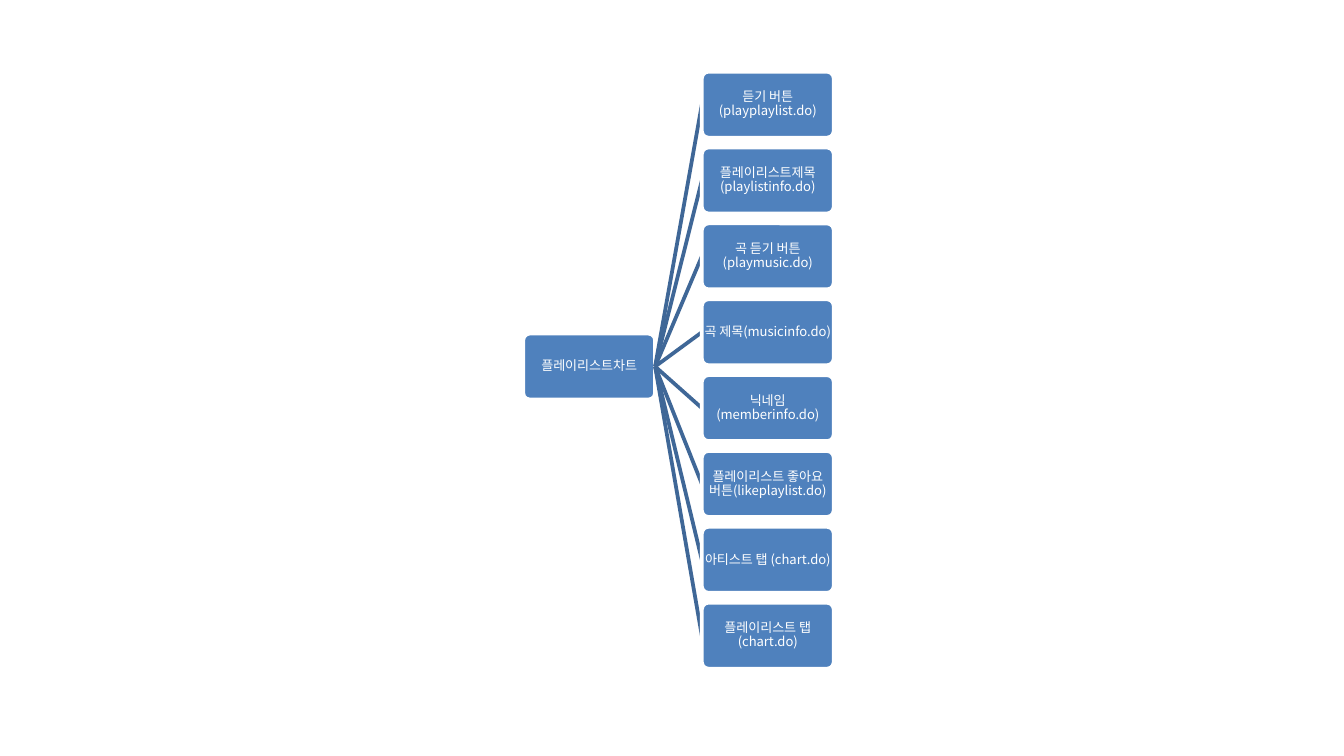
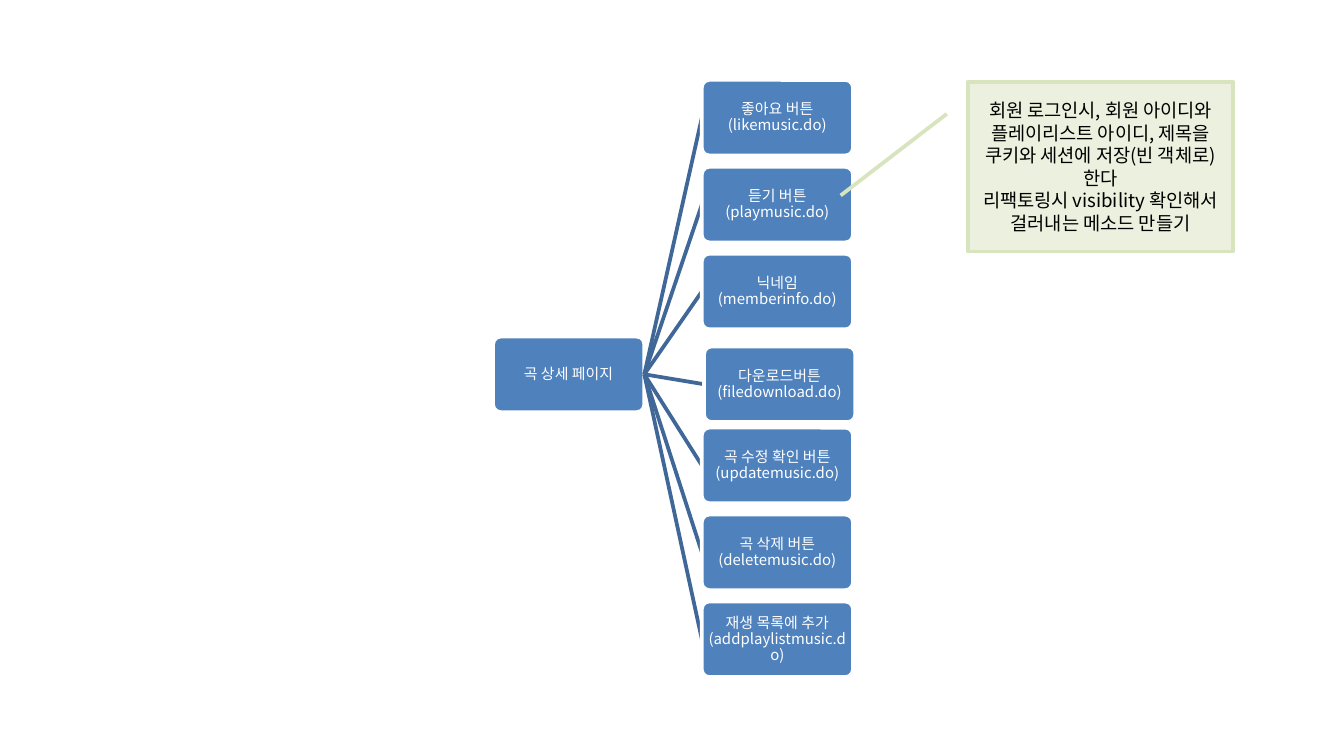
from dataclasses import dataclass

from lxml import etree
from pptx import Presentation
from pptx.dml.color import RGBColor
from pptx.enum.shapes import MSO_CONNECTOR, MSO_SHAPE
from pptx.enum.text import MSO_ANCHOR, PP_ALIGN
from pptx.oxml.ns import qn
from pptx.util import Pt

ROUNDED = MSO_SHAPE.ROUNDED_RECTANGLE
CALLOUT = MSO_SHAPE.LINE_CALLOUT_1
STRAIGHT = MSO_CONNECTOR.STRAIGHT
MIDDLE = MSO_ANCHOR.MIDDLE
CENTER = PP_ALIGN.CENTER
BLANK_LAYOUT = 6
LEFT_SITE, RIGHT_SITE = 1, 3  # connection sites of a rounded rectangle


@dataclass(frozen=True)
class Theme:
    font: str = "Noto Sans CJK KR"
    node: RGBColor = RGBColor(0x4F, 0x81, 0xBD)
    branch: RGBColor = RGBColor(0x3F, 0x67, 0x97)
    note: RGBColor = RGBColor(0xEB, 0xF1, 0xDE)
    note_border: RGBColor = RGBColor(0xD7, 0xE4, 0xBD)
    white: RGBColor = RGBColor(0xFF, 0xFF, 0xFF)
    black: RGBColor = RGBColor(0, 0, 0)
    note_size: float = 10
    line: float = 2
    corner: float = 0.1
    row_ratio: float = 1.15  # row pitch over node height


THEME = Theme()


@dataclass(frozen=True)
class Tree:
    """Measures of one tree, in points; nodes are twice as wide as high."""
    root_left: float
    root_top: float
    column_left: float
    column_top: float
    node_height: float
    text_size: float
    margin: float


CHART_TREE = Tree(280.3, 178.7, 376, 38.4, 35.34, 7, 0)
SONG_TREE = Tree(264.2, 180.3, 376, 42.8, 40.5, 8, 0.9)

CHART_ACTIONS = [
    "듣기 버튼(playplaylist.do)",
    "플레이리스트제목(playlistinfo.do)",
    "곡 듣기 버튼(playmusic.do)",
    "곡 제목(musicinfo.do)",
    "닉네임(memberinfo.do)",
    "플레이리스트 좋아요 버튼(likeplaylist.do)",
    "아티스트 탭 (chart.do)",
    "플레이리스트 탭(chart.do)",
]
SONG_ACTIONS = [
    "좋아요 버튼(likemusic.do)",
    "듣기 버튼(playmusic.do)",
    "닉네임(memberinfo.do)",
    "다운로드버튼(filedownload.do)",
    "곡 수정 확인 버튼(updatemusic.do)",
    "곡 삭제 버튼(deletemusic.do)",
    "재생 목록에 추가(addplaylistmusic.do)",
]
SONG_SHIFTS = {3: (1.2, 3.1)}  # the download node sits off the grid
LOGIN_NOTE = [
    "회원 로그인시, 회원 아이디와 플레이리스트 아이디, 제목을 쿠키와 세션에 저장(빈 객체로)한다",
    "리팩토링시 visibility 확인해서 걸러내는 메소드 만들기",
]


def add_box(slide, preset, left, top, width, height, fill, border, adjustments):
    box = slide.shapes.add_shape(preset, Pt(left), Pt(top), Pt(width), Pt(height))
    box.shadow.inherit = False
    box.fill.solid()
    box.fill.fore_color.rgb = fill
    box.line.color.rgb = border
    box.line.width = Pt(THEME.line)
    for index, value in enumerate(adjustments):
        box.adjustments[index] = value
    return box


def write_text(box, lines, size, color, spacing=None):
    frame = box.text_frame
    frame.word_wrap = True
    frame.vertical_anchor = MIDDLE
    for index, line in enumerate(lines):
        paragraph = frame.paragraphs[0] if index == 0 else frame.add_paragraph()
        paragraph.alignment = CENTER
        if spacing:
            paragraph.line_spacing = spacing
        run = paragraph.add_run()
        run.text = line
        run.font.size = Pt(size)
        run.font.color.rgb = color
        run.font.name = THEME.font
        # Korean letters take the East Asian font
        east_asian = etree.SubElement(run.font._element, qn("a:ea"))
        east_asian.set("typeface", THEME.font)


def add_node(slide, tree, label, left, top):
    node = add_box(slide, ROUNDED, left, top, 2 * tree.node_height, tree.node_height,
                   THEME.node, THEME.white, [THEME.corner])
    frame = node.text_frame
    frame.margin_left = frame.margin_right = Pt(tree.margin)
    frame.margin_top = frame.margin_bottom = Pt(tree.margin)
    write_text(node, [label], tree.text_size, THEME.white, spacing=0.9)
    return node


def add_branch(slide, root):
    branch = slide.shapes.add_connector(STRAIGHT, 0, 0, 0, 0)
    branch.begin_connect(root, RIGHT_SITE)
    branch.line.color.rgb = THEME.branch
    branch.line.width = Pt(THEME.line)
    etree.SubElement(branch._element.spPr, qn("a:effectLst"))
    return branch


def add_tree(slide, tree, root_label, actions, shifts):
    root = add_node(slide, tree, root_label, tree.root_left, tree.root_top)
    pitch = tree.node_height * THEME.row_ratio
    for row, action in enumerate(actions):
        shift_x, shift_y = shifts.get(row, (0, 0))
        branch = add_branch(slide, root)  # lies behind its node
        node = add_node(slide, tree, action, tree.column_left + shift_x,
                        tree.column_top + row * pitch + shift_y)
        branch.end_connect(node, LEFT_SITE)


def add_note(slide, lines, left, top, width, height, pointer):
    note = add_box(slide, CALLOUT, left, top, width, height,
                   THEME.note, THEME.note_border, pointer)
    write_text(note, lines, THEME.note_size, THEME.black)


def main():
    deck = Presentation()
    deck.slide_width, deck.slide_height = Pt(720), Pt(405)
    blank = deck.slide_layouts[BLANK_LAYOUT]

    # Playlist chart
    chart_slide = deck.slides.add_slide(blank)
    add_tree(chart_slide, CHART_TREE, "플레이리스트차트", CHART_ACTIONS, {})

    # Song detail page, with a note on the listen button
    song_slide = deck.slides.add_slide(blank)
    add_tree(song_slide, SONG_TREE, "곡 상세 페이지", SONG_ACTIONS, SONG_SHIFTS)
    add_note(song_slide, LOGIN_NOTE, 518.5, 43.8, 142, 91,
             [0.19, -0.08, 0.67, -0.48])

    deck.save("out.pptx")


if __name__ == "__main__":
    main()
